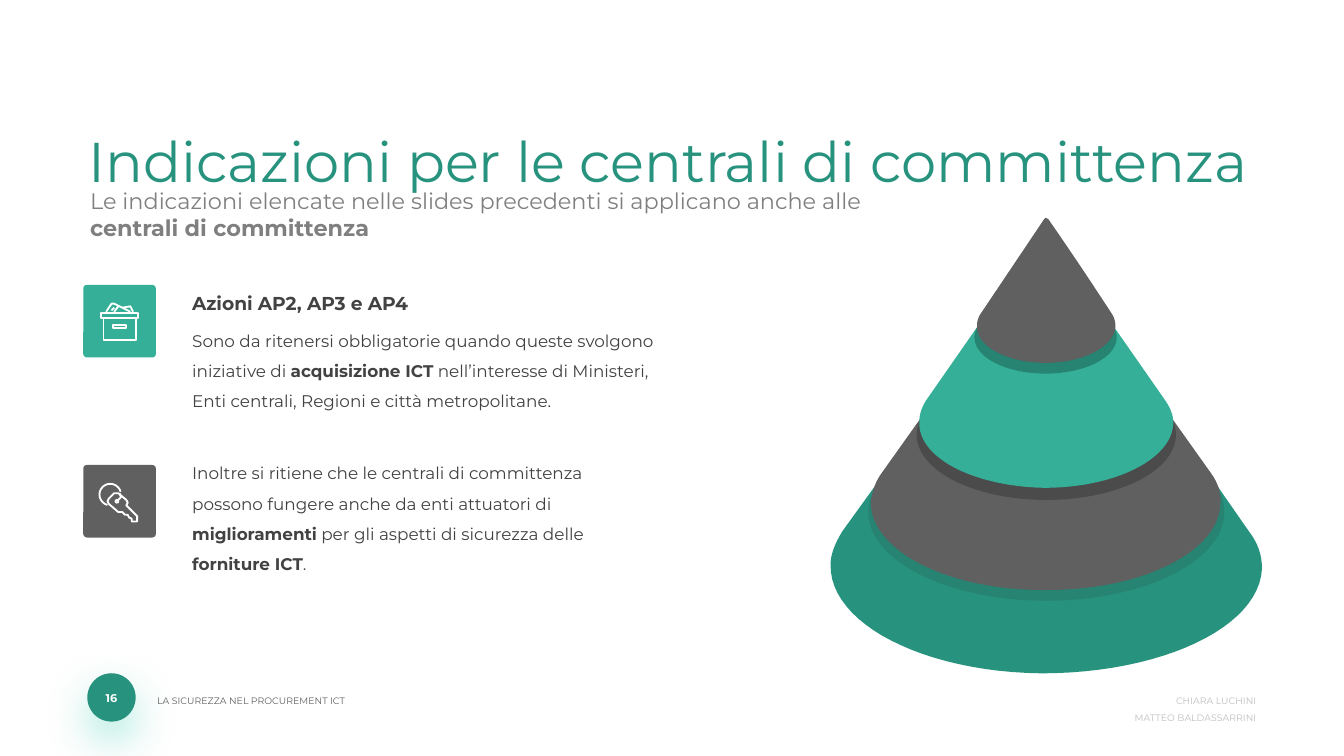
from math import cos, radians, sin

from lxml import etree
from pptx import Presentation
from pptx.dml.color import RGBColor
from pptx.enum import shapes, text
from pptx.oxml import ns
from pptx.util import Inches, Pt

FONT = "Montserrat"
GREEN = RGBColor(0x27, 0x93, 0x7E)
MINT = RGBColor(0x35, 0xAF, 0x98)
SHADE_GREEN = RGBColor(0x27, 0x83, 0x72)
GREY = RGBColor(0x60, 0x60, 0x60)
SHADE_GREY = RGBColor(0x4B, 0x4B, 0x4B)
INK = RGBColor(0x41, 0x42, 0x41)
MUTED = RGBColor(0x7F, 0x7F, 0x7F)
PALE = RGBColor(0xBF, 0xBF, 0xBF)
WHITE = RGBColor(0xFF, 0xFF, 0xFF)
LEFT, CENTER, RIGHT = text.PP_ALIGN.LEFT, text.PP_ALIGN.CENTER, text.PP_ALIGN.RIGHT
OVAL = shapes.MSO_SHAPE.OVAL

TEXTS = [
    ((1.12, 5.11, 1.9, 0.28), GREY, LEFT,
     [(5, 1.5, 0, [("LA SICUREZZA NEL PROCUREMENT ICT", False)])]),
    ((8.37, 5.11, 1.03, 0.15), PALE, RIGHT,
     [(5, 1.5, 0, [("CHIARA LUCHINI", False)]),
      (5, 1.5, 0, [("MATTEO BALDASSARRINI", False)])]),
    ((0.73, 5.12, 0.2, 0.15), WHITE, CENTER, [(6, 1.0, 0, [("16", True)])]),
    ((0.61, 0.76, 8.78, 0.57), GREEN, LEFT,
     [(30, 1.32, 0, [("Indicazioni per le centrali di committenza", False)])]),
    ((0.62, 1.37, 6.35, 0.43), MUTED, LEFT,
     [(12, 1.0, 0, [
         ("Le indicazioni elencate nelle slides precedenti si applicano anche alle ", False),
         ("centrali di committenza", True)])]),
    ((1.38, 2.07, 3.55, 0.93), INK, LEFT,
     [(10, 1.5, 0, [("Azioni AP2, AP3 e AP4", True)]),
      (9, 1.5, 3, [
          ("Sono da ritenersi obbligatorie quando queste svolgono iniziative di ", False),
          ("acquisizione ICT", True),
          (" nell\u2019interesse di Ministeri, Enti centrali, Regioni e citt\u00e0 metropolitane.",
           False)])]),
    ((1.38, 3.35, 3.55, 0.93), INK, LEFT,
     [(9, 1.5, 3, [
         ("Inoltre si ritiene che le centrali di committenza possono fungere anche da "
          "enti attuatori di ", False),
         ("miglioramenti", True),
         (" per gli aspetti di sicurezza delle ", False),
         ("forniture ICT", True),
         (".", False)])]),
]

TIERS = [
    (GREEN, (6.53, 3.59), (6.27, 3.95),
     [((6.22, 4.03), (6.18, 4.12), (6.18, 4.2)), ((6.17, 4.64), (6.87, 5), (7.75, 5.01)),
      ((8.64, 5.01), (9.37, 4.67), (9.39, 4.23)), ((9.39, 4.13), (9.36, 4.04), (9.29, 3.95))],
     (9.04, 3.59)),
    (GREY, (6.88, 3.07), (6.56, 3.52),
     [((6.51, 3.59), (6.49, 3.66), (6.48, 3.73)), ((6.47, 4.09), (7.04, 4.39), (7.76, 4.39)),
      ((8.48, 4.4), (9.07, 4.11), (9.08, 3.75)), ((9.09, 3.67), (9.06, 3.59), (9.01, 3.52))],
     (8.69, 3.07)),
    (MINT, (7.28, 2.42), (6.89, 2.98),
     [((6.86, 3.03), (6.84, 3.08), (6.84, 3.14)), ((6.83, 3.41), (7.25, 3.62), (7.77, 3.63)),
      ((8.29, 3.63), (8.72, 3.42), (8.73, 3.15)), ((8.73, 3.09), (8.71, 3.04), (8.67, 2.98))],
     (8.28, 2.42)),
    (GREY, (7.77, 1.63), (7.3, 2.33),
     [((7.28, 2.36), (7.27, 2.39), (7.27, 2.42)), ((7.26, 2.58), (7.5, 2.7), (7.78, 2.7)),
      ((8.06, 2.7), (8.29, 2.58), (8.3, 2.43)), ((8.3, 2.39), (8.29, 2.36), (8.27, 2.33)),
      ((8.12, 2.1), (7.96, 1.86), (7.8, 1.63))],
     (7.78, 1.62)),
]
TIER_SHADES = [
    ((6.46, 3.15, 2.65, 1.32), SHADE_GREEN),
    ((6.82, 2.75, 1.93, 0.97), SHADE_GREY),
    ((7.25, 2.24, 1.06, 0.54), SHADE_GREEN),
]


def rect(x, y, w, h):
    return [(x, y), (x + w, y), (x + w, y + h), (x, y + h)]


def arc(cx, cy, radius, start=0, end=345):
    return [(cx + radius * cos(radians(a)), cy + radius * sin(radians(a)))
            for a in range(start, end + 1, 15)]


BOX_ICON = [
    (rect(0.75, 2.33, 0.28, 0.04), True),
    (rect(0.77, 2.37, 0.24, 0.16), True),
    (rect(0.84, 2.42, 0.1, 0.02), True),
    ([(0.79, 2.32), (0.83, 2.26), (0.85, 2.26), (0.91, 2.29), (0.97, 2.32)], False),
    ([(0.91, 2.29), (0.97, 2.28), (0.99, 2.32)], False),
    ([(0.85, 2.32), (0.88, 2.28)], False),
    ([(0.83, 2.31), (0.85, 2.29)], False),
]
KEY_ICON = [
    (arc(0.82, 3.68, 0.08, 105, 345), False),
    ([(0.8, 3.73), (0.81, 3.71), (0.85, 3.67), (0.88, 3.67), (0.94, 3.72), (0.95, 3.74),
      (0.94, 3.76), (1.02, 3.84), (1.02, 3.88), (0.98, 3.88), (0.98, 3.86), (0.96, 3.85),
      (0.95, 3.83), (0.93, 3.83), (0.91, 3.81), (0.88, 3.81), (0.81, 3.75)], True),
    (arc(0.87, 3.73, 0.01), True),
    ([(0.88, 3.72), (0.9, 3.7), (0.89, 3.67)], False),
]
TILES = [(2.12, MINT, BOX_ICON), (3.46, GREY, KEY_ICON)]

prs = Presentation()
prs.slide_width = Inches(10)
prs.slide_height = prs.slide_width * 9 // 16
slide = prs.slides.add_slide(prs.slide_layouts[6])


def paint(sp, color):
    sp.shadow.inherit = False
    sp.fill.solid()
    sp.fill.fore_color.rgb = color
    sp.line.fill.background()


def add_preset(kind, box, color):
    sp = slide.shapes.add_shape(kind, *map(Inches, box))
    paint(sp, color)
    return sp


def add_outline(contours):
    builder = None
    for points, closed in contours:
        first, *rest = [(Inches(x), Inches(y)) for x, y in points]
        if builder is None:
            builder = slide.shapes.build_freeform(*first)
        else:
            builder.move_to(*first)
        builder.add_line_segments(rest, close=closed)
    return builder.convert_to_shape()


def bezier(p0, p1, p2, p3, steps=24):
    return [tuple((1 - t) ** 3 * a + 3 * (1 - t) ** 2 * t * b + 3 * (1 - t) * t * t * c + t ** 3 * d
                  for a, b, c, d in zip(p0, p1, p2, p3))
            for t in (i / steps for i in range(1, steps + 1))]


def add_text(box, color, align, paragraphs):
    tf = slide.shapes.add_textbox(*map(Inches, box)).text_frame
    tf.word_wrap = True
    tf.margin_left = tf.margin_right = Inches(0.05)
    tf.margin_top = tf.margin_bottom = Inches(0.02)
    for i, (size, spacing, before, runs) in enumerate(paragraphs):
        p = tf.add_paragraph() if i else tf.paragraphs[0]
        p.alignment, p.line_spacing, p.space_before = align, spacing, Pt(before)
        for words, bold in runs:
            r = p.add_run()
            r.text = words
            r.font.name, r.font.size, r.font.bold = FONT, Pt(size), bold
            r.font.color.rgb = color


badge = add_preset(OVAL, (0.65, 5.01, 0.36, 0.36), GREEN)
effects = badge._element.spPr.find(ns.qn("a:effectLst"))
glow = etree.SubElement(effects, ns.qn("a:outerShdw"), blurRad=str(Pt(23)), dist=str(Pt(10)),
                        dir="5400000", algn="t", rotWithShape="0")
glow_color = etree.SubElement(glow, ns.qn("a:srgbClr"), val="78DDCA")
etree.SubElement(glow_color, ns.qn("a:alpha"), val="59000")

for i, (color, neck, shoulder, curves, end) in enumerate(TIERS):
    points = [neck, shoulder]
    for curve in curves:
        points += bezier(points[-1], *curve)
    paint(add_outline([(points + [end], True)]), color)
    if i < len(TIER_SHADES):
        add_preset(OVAL, *TIER_SHADES[i])

for top, color, icon in TILES:
    tile = add_preset(shapes.MSO_SHAPE.ROUNDED_RECTANGLE, (0.62, top, 0.54, 0.54), color)
    tile.adjustments[0] = 0.05
    sp = add_outline(icon)
    sp.shadow.inherit = False
    sp.fill.background()
    sp.line.color.rgb = WHITE
    sp.line.width = Pt(1)

for item in TEXTS:
    add_text(*item)

prs.save("out.pptx")
